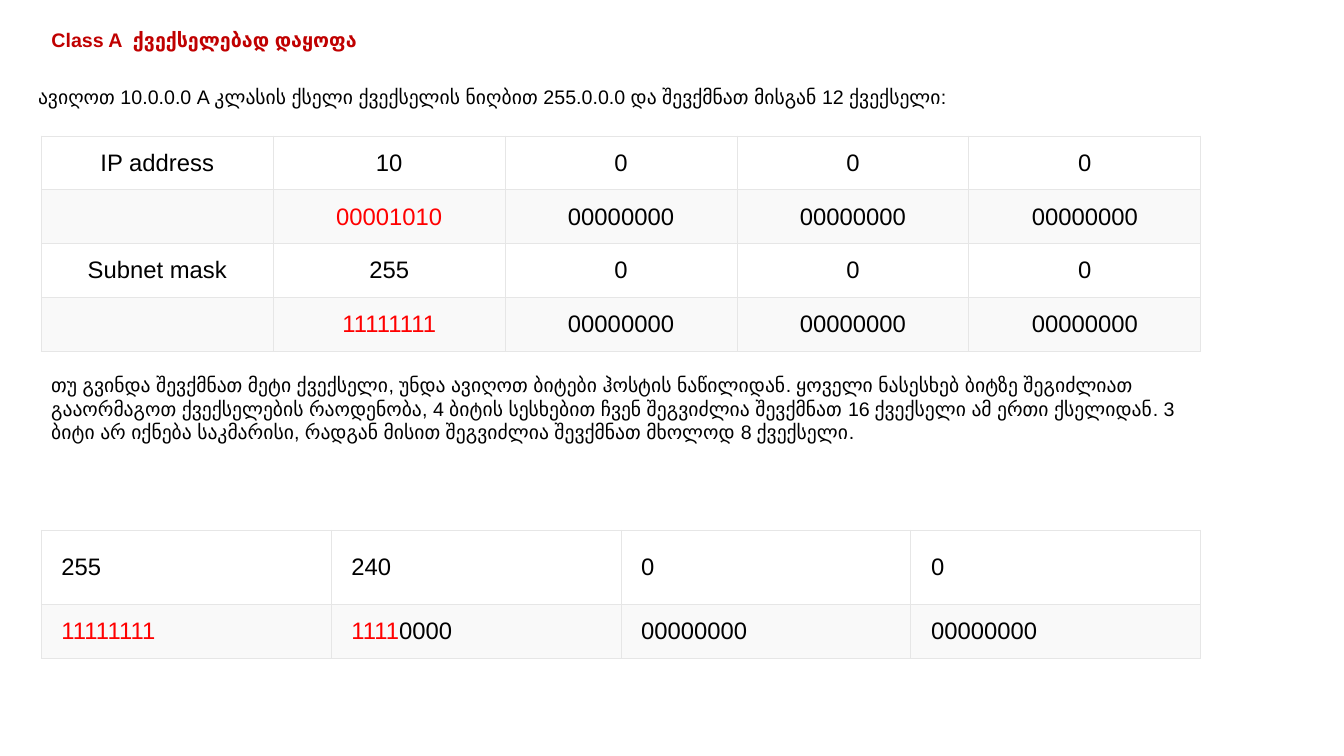
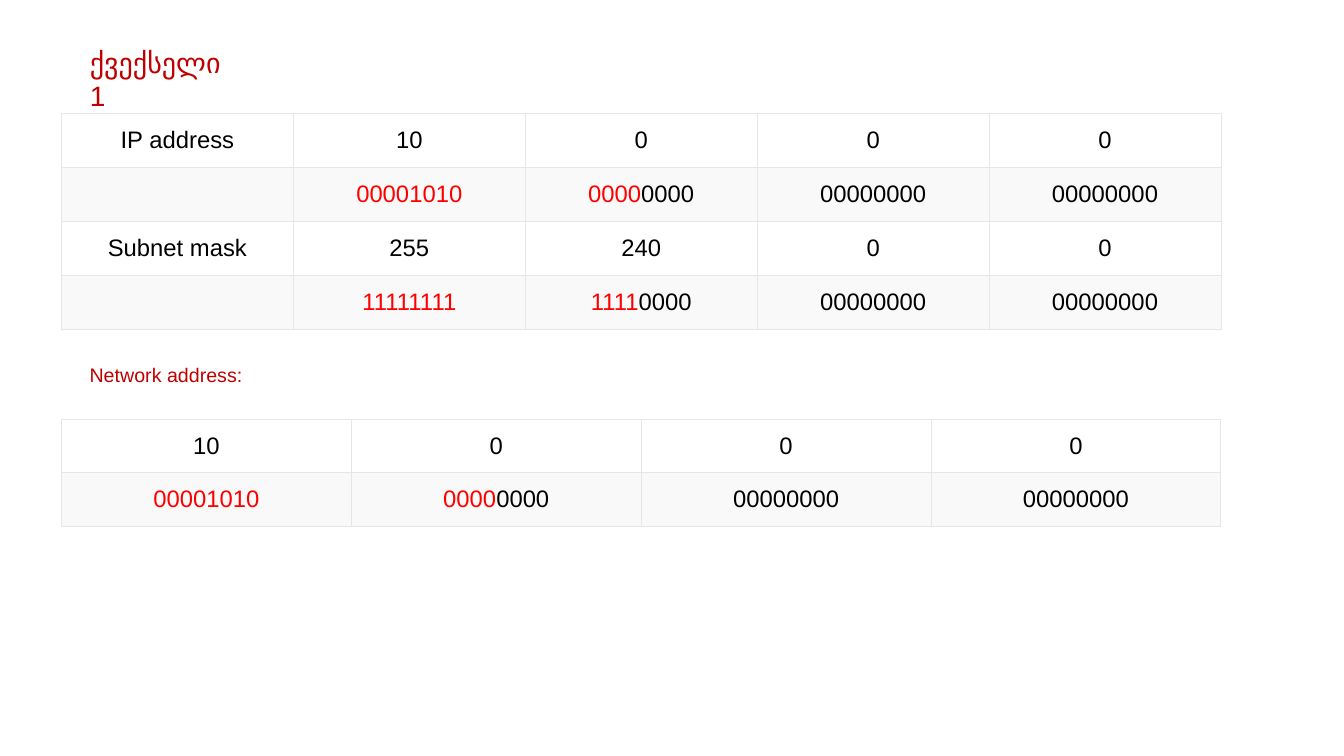
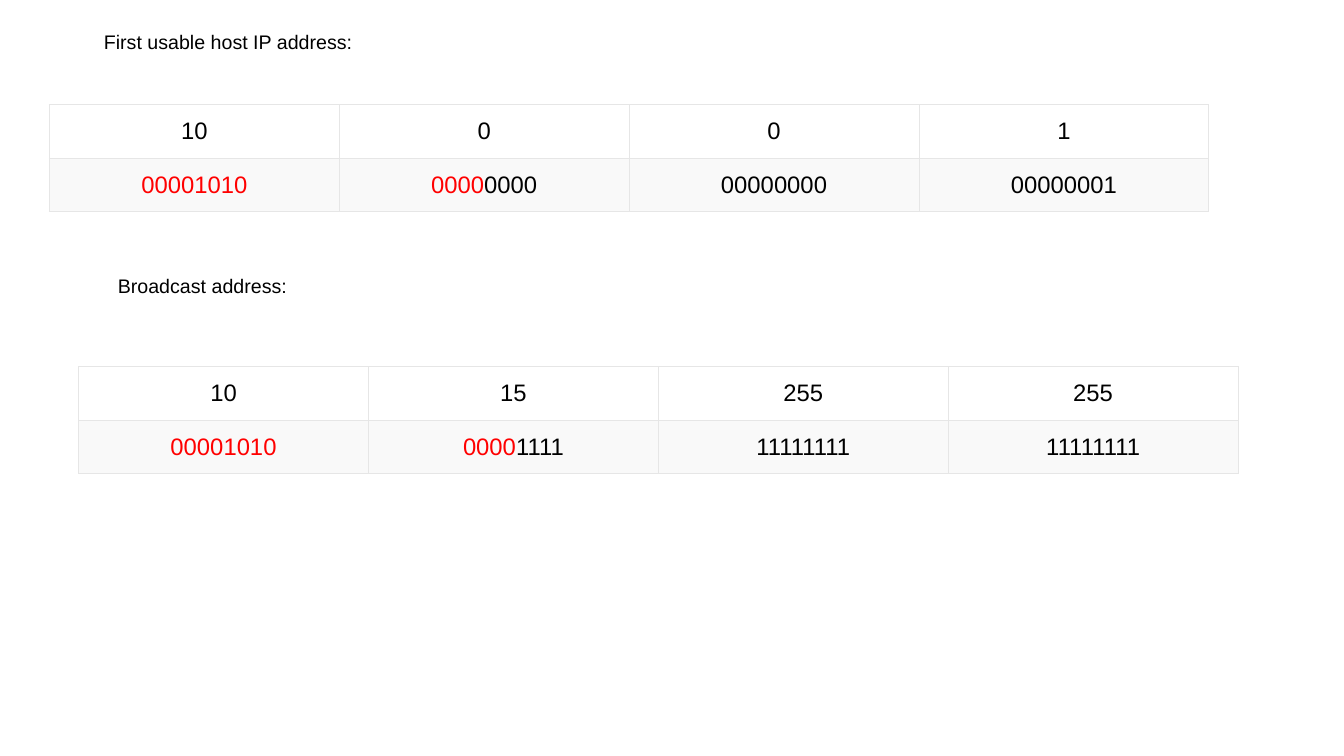
from lxml import etree
from pptx import Presentation
from pptx.dml.color import RGBColor
from pptx.enum import text
from pptx.oxml import ns
from pptx.util import Inches, Pt

BLACK = RGBColor(0x00, 0x00, 0x00)
WHITE = RGBColor(0xFF, 0xFF, 0xFF)
DARK_RED = RGBColor(0xC0, 0x00, 0x00)
RED = RGBColor(0xFF, 0x00, 0x00)
PALE_GREY = RGBColor(0xF9, 0xF9, 0xF9)
BORDER_GREY = RGBColor(0xE6, 0xE6, 0xE6)

LEFT = text.PP_ALIGN.LEFT
CENTER = text.PP_ALIGN.CENTER
FRAME_FORMAT = {
    "word_wrap": True,
    "auto_size": text.MSO_AUTO_SIZE.SHAPE_TO_FIT_TEXT,
    "vertical_anchor": text.MSO_ANCHOR.TOP,
}
CELL_FORMAT = {
    "margin_left": Inches(0.2),
    "margin_right": Inches(0.2),
    "margin_top": Inches(0.12),
    "margin_bottom": Inches(0.12),
    "vertical_anchor": text.MSO_ANCHOR.MIDDLE,
}


def apply(target, values):
    for name, value in values.items():
        setattr(target, name, value)


class SubnetDeck:
    font = "Arial"
    text_size = 14
    cell_size = 17
    table_width = Inches(11.5)
    row_height = 0.53

    def __init__(self):
        self.deck = Presentation()
        apply(self.deck, {"slide_width": Inches(13.33), "slide_height": Inches(7.5)})
        self.page = None

    def add_page(self):
        self.page = self.deck.slides.add_slide(self.deck.slide_layouts[5])

    def add_span(self, para, wording, size, color, bold=False):
        span = para.add_run()
        span.text = wording
        apply(span.font, {"name": self.font, "size": Pt(size), "bold": bold})
        span.font.color.rgb = color

    def fill_box(self, box, wording, size, color, bold=False):
        apply(box.text_frame, FRAME_FORMAT)
        para = box.text_frame.paragraphs[0]
        para.alignment = LEFT
        self.add_span(para, wording, size, color, bold)

    def title(self, wording, left, top, width, height=0.4, size=text_size, color=BLACK, bold=False):
        box = self.page.shapes.title
        places = map(Inches, (left, top, width, height))
        apply(box, dict(zip(("left", "top", "width", "height"), places)))
        self.fill_box(box, wording, size, color, bold)

    def paragraph(self, wording, left, top, width, height=0.4, color=BLACK):
        box = self.page.shapes.add_textbox(*map(Inches, (left, top, width, height)))
        self.fill_box(box, wording, self.text_size, color)

    def border(self, cell):
        properties = cell._tc.get_or_add_tcPr()
        for side in ("lnL", "lnR", "lnT", "lnB"):
            line = etree.SubElement(properties, ns.qn(f"a:{side}"), w=str(Pt(0.75)))
            fill = etree.SubElement(line, ns.qn("a:solidFill"))
            etree.SubElement(fill, ns.qn("a:srgbClr"), val=str(BORDER_GREY))

    def cell(self, cell, spans, fill, alignment):
        self.border(cell)
        apply(cell, CELL_FORMAT)
        cell.fill.solid()
        cell.fill.fore_color.rgb = fill
        para = cell.text_frame.paragraphs[0]
        para.alignment = alignment
        for wording, color in spans:
            if wording:
                self.add_span(para, wording, self.cell_size, color)

    def address_rows(self, label, address, prefix):
        octets = [int(octet) for octet in address.split(".")]
        decimals = [[(str(octet), BLACK)] for octet in octets]
        binaries = []
        for index, octet in enumerate(octets):
            bits = f"{octet:08b}"
            network = min(max(prefix - 8 * index, 0), 8)
            binaries.append([(bits[:network], RED), (bits[network:], BLACK)])
        if label:
            return [[[(label, BLACK)]] + decimals, [[]] + binaries]
        return [decimals, binaries]

    def address_table(self, left, top, addresses, prefix, alignment=CENTER, first_height=row_height):
        rows = []
        for label, address in addresses:
            rows += self.address_rows(label, address, prefix)
        heights = [first_height] + [self.row_height] * (len(rows) - 1)
        count = len(rows[0])
        table = self.page.shapes.add_table(
            len(rows), count, Inches(left), Inches(top), self.table_width, Inches(sum(heights))
        ).table
        apply(table, {"first_row": False, "horz_banding": False})
        for column in table.columns:
            column.width = self.table_width // count
        for index, (height, row) in enumerate(zip(heights, rows)):
            table.rows[index].height = Inches(height)
            fill = PALE_GREY if index % 2 else WHITE
            for cell, spans in zip(table.rows[index].cells, row):
                self.cell(cell, spans, fill, alignment)


def main():
    show = SubnetDeck()

    show.add_page()
    show.title("Class A  ქვექსელებად დაყოფა", 0.41, 0.23, 3.64, color=DARK_RED, bold=True)
    show.paragraph(
        "ავიღოთ 10.0.0.0 A კლასის ქსელი ქვექსელის ნიღბით 255.0.0.0 და შევქმნათ მისგან 12 ქვექსელი:",
        0.28, 0.79, 12.77,
    )
    show.address_table(0.41, 1.35, [("IP address", "10.0.0.0"), ("Subnet mask", "255.0.0.0")], 8)
    show.paragraph(
        "თუ გვინდა შევქმნათ მეტი ქვექსელი, უნდა ავიღოთ ბიტები ჰოსტის ნაწილიდან. "
        "ყოველი ნასესხებ ბიტზე შეგიძლიათ გააორმაგოთ ქვექსელების რაოდენობა, "
        "4 ბიტის სესხებით ჩვენ შეგვიძლია შევქმნათ 16 ქვექსელი ამ ერთი ქსელიდან. "
        "3 ბიტი არ იქნება საკმარისი, რადგან მისით შეგვიძლია შევქმნათ მხოლოდ 8 ქვექსელი.",
        0.41, 3.65, 11.5, 1.31,
    )
    show.address_table(0.41, 5.26, [("", "255.240.0.0")], 12, LEFT, 0.74)

    show.add_page()
    show.title("ქვექსელი 1", 0.79, 0.4, 1.61, 0.44, size=20, color=DARK_RED)
    show.address_table(0.61, 1.13, [("IP address", "10.0.0.0"), ("Subnet mask", "255.240.0.0")], 12)
    show.paragraph("Network address:", 0.79, 3.55, 2.01, color=DARK_RED)
    show.address_table(0.61, 4.16, [("", "10.0.0.0")], 12)

    show.add_page()
    show.title("First usable host IP address:", 0.93, 0.25, 3.04)
    show.address_table(0.49, 1.04, [("", "10.0.0.1")], 12)
    show.paragraph("Broadcast address:", 1.07, 2.67, 2.14)
    show.address_table(0.78, 3.64, [("", "10.15.255.255")], 12)

    show.deck.save("out.pptx")


if __name__ == "__main__":
    main()
